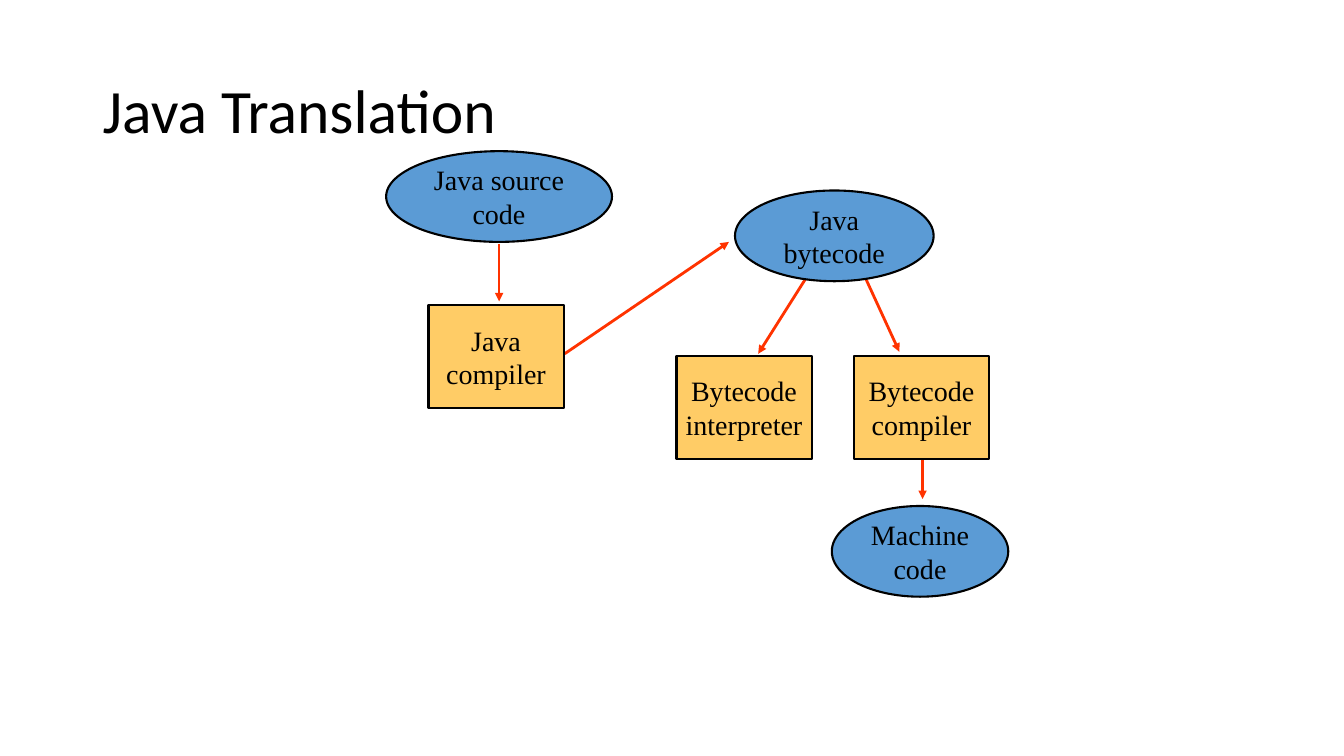
from lxml import etree
from pptx import Presentation
from pptx import util as u
from pptx.dml.color import RGBColor
from pptx.enum import shapes, text
from pptx.oxml.ns import qn

BLACK, BLUE, AMBER, RED = "000000", "5B9BD5", "FFCC66", "FF3300"
OVAL, BOX = shapes.MSO_SHAPE.OVAL, shapes.MSO_SHAPE.RECTANGLE
TITLE_FONT = {"name": "Calibri", "size": u.Pt(44)}
NODE_FONT = {"name": "Times New Roman", "size": u.Pt(20)}
OVAL_HEIGHT, BOX_WIDTH, BOX_HEIGHT = 0.9, 1.34, 1.02

ARROWS = [
    (4.95, 2.42, 4.95, 2.99),
    (5.6, 3.51, 7.23, 2.4),
    (8, 2.75, 7.52, 3.51),
    (8.58, 2.75, 8.92, 3.49),
    (9.15, 4.5, 9.15, 4.95),
]
CODE_FORMS = [
    (3.83, 1.5, 2.24, ("Java source", "code")),
    (8.25, 5.02, 1.75, ("Machine", "code")),
    (7.29, 1.89, 1.97, ("Java", "bytecode")),
]
TRANSLATORS = [
    (6.71, 3.53, ("Bytecode", "interpreter")),
    (8.47, 3.53, ("Bytecode", "compiler")),
    (4.25, 3.03, ("Java", "compiler")),
]


def color(fmt, value):
    """Set a color format from a hex string."""
    fmt.rgb = RGBColor.from_string(value)


def write(tf, lines, font, wrap, **para):
    """Write one formatted paragraph per line, centred vertically."""
    tf.word_wrap = wrap
    tf.vertical_anchor = text.MSO_ANCHOR.MIDDLE
    for i, line in enumerate(lines):
        p = tf.add_paragraph() if i else tf.paragraphs[0]
        for key, value in para.items():
            setattr(p, key, value)
        r = p.add_run()
        r.text = line
        for key, value in font.items():
            setattr(r.font, key, value)
        color(r.font.color, BLACK)


def add_title(s, title):
    """Add the slide title."""
    sp = s.shapes.add_textbox(*map(u.Inches, (0.92, 0.4, 11.5, 1.45)))
    write(sp.text_frame, [title], TITLE_FONT, True, line_spacing=0.9)


def add_arrow(s, *ends):
    """Add a red arrow between two points."""
    sp = s.shapes.add_connector(shapes.MSO_CONNECTOR.STRAIGHT, *map(u.Inches, ends))
    sp.line.width = u.Pt(2)
    color(sp.line.color, RED)
    etree.SubElement(sp.line._get_or_add_ln(), qn("a:tailEnd"), type="triangle")
    etree.SubElement(sp._element.spPr, qn("a:effectLst"))


def add_node(s, kind, fill, place, lines):
    """Add an outlined shape with centred lines of text."""
    sp = s.shapes.add_shape(kind, *map(u.Inches, place))
    sp.shadow.inherit = False
    sp.fill.solid()
    color(sp.fill.fore_color, fill)
    sp.line.width = u.Pt(1.5)
    color(sp.line.color, BLACK)
    write(sp.text_frame, lines, NODE_FONT, False, alignment=text.PP_ALIGN.CENTER)


def main():
    """Build and save the slide."""
    prs = Presentation()
    prs.slide_width, prs.slide_height = u.Inches(13.33), u.Inches(7.5)
    s = prs.slides.add_slide(prs.slide_layouts[6])
    add_title(s, "Java Translation")
    for ends in ARROWS:
        add_arrow(s, *ends)
    for x, y, width, lines in CODE_FORMS:
        add_node(s, OVAL, BLUE, (x, y, width, OVAL_HEIGHT), lines)
    for x, y, lines in TRANSLATORS:
        add_node(s, BOX, AMBER, (x, y, BOX_WIDTH, BOX_HEIGHT), lines)
    prs.save("out.pptx")


main()
